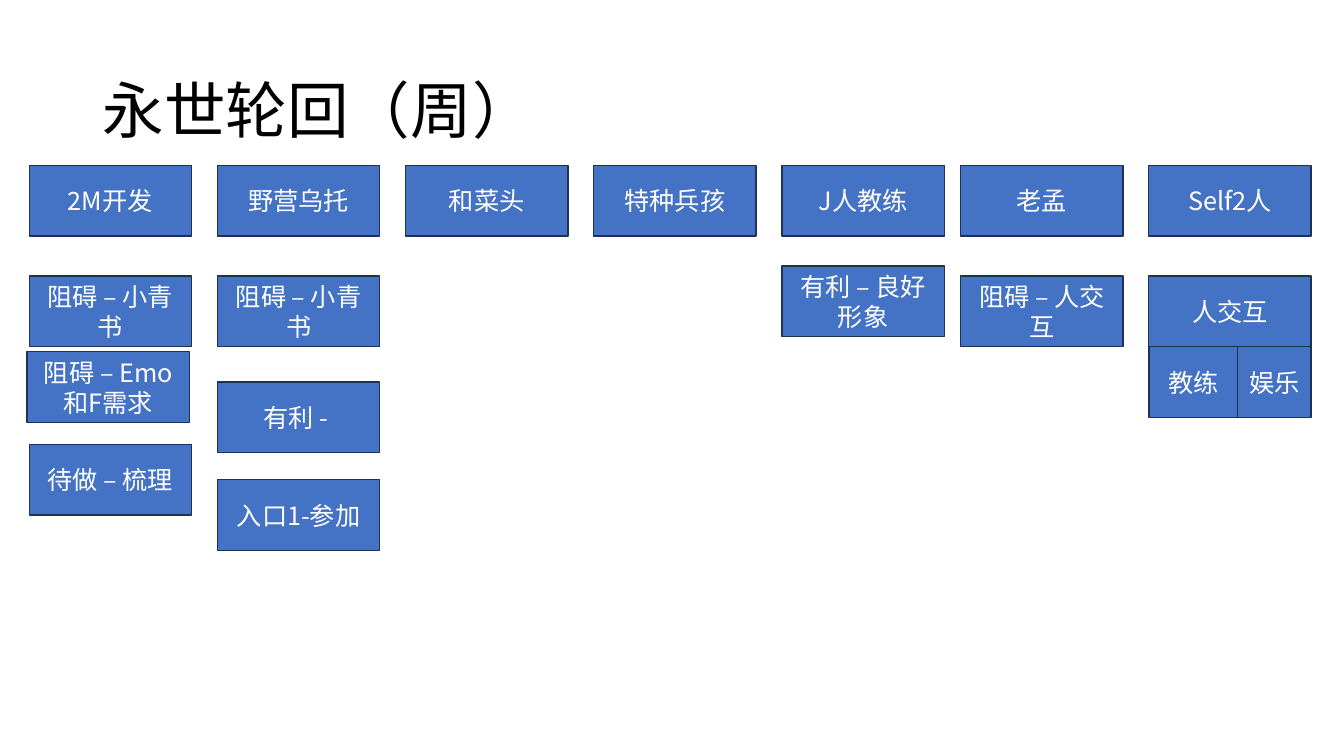
from dataclasses import dataclass

from pptx import Presentation
from pptx.dml.color import RGBColor
from pptx.enum.shapes import MSO_SHAPE as Preset
from pptx.enum.text import MSO_ANCHOR as Anchor, PP_ALIGN as Align
from pptx.oxml.ns import qn
from pptx.util import Pt


@dataclass(frozen=True)
class Theme:
    font: str = "Noto Sans CJK SC"
    title_size: float = 44
    card_size: float = 18
    title_color: RGBColor = RGBColor(0x00, 0x00, 0x00)
    card_text: RGBColor = RGBColor(0xFF, 0xFF, 0xFF)
    card_fill: RGBColor = RGBColor(0x44, 0x72, 0xC4)
    card_line: RGBColor = RGBColor(0x1E, 0x32, 0x56)


THEME = Theme()

# Card grid, in points: five even columns, then two set closer
CARD_WIDTH, CARD_HEIGHT = 116, 50.4
COLUMN_PITCH = 134.4
COLUMNS = [20.9 + COLUMN_PITCH * i for i in range(5)]
COLUMNS += [686.2 + COLUMN_PITCH * i for i in range(2)]
HEADING_TOP, FIRST_TOP = 118.1, 197.3

HEADINGS = ["2M开发", "野营乌托", "和菜头", "特种兵孩", "J人教练", "老孟", "Self2人"]

# Column number, top, text
NOTES = [
    (0, FIRST_TOP, "阻碍 – 小青书"),
    (0, 317.5, "待做 – 梳理"),
    (1, FIRST_TOP, "阻碍 – 小青书"),
    (1, 273, "有利 - "),
    (1, 342.7, "入口1-参加"),
    (4, 190.1, "有利 – 良好形象"),
    (5, FIRST_TOP, "阻碍 – 人交互"),
    (6, FIRST_TOP, "人交互"),
]


def style_paragraph(para, size, color):
    font = para.font
    font.name = THEME.font
    font.size = Pt(size)
    font.color.rgb = color
    # Chinese characters take the East Asian typeface
    defaults = para._p.pPr.find(qn("a:defRPr"))
    east_asian = defaults.makeelement(qn("a:ea"), {"typeface": THEME.font})
    defaults.find(qn("a:latin")).addnext(east_asian)


def add_title(page, text):
    title = page.shapes.title
    title.left, title.top = Pt(66), Pt(28.8)
    title.width, title.height = Pt(828), Pt(104.4)
    frame = title.text_frame
    frame.text = text
    frame.word_wrap = True
    frame.vertical_anchor = Anchor.MIDDLE
    para = frame.paragraphs[0]
    para.alignment = Align.LEFT
    para.line_spacing = 0.9
    style_paragraph(para, THEME.title_size, THEME.title_color)


def add_card(page, text, left, top, width=CARD_WIDTH):
    card = page.shapes.add_shape(
        Preset.RECTANGLE, Pt(left), Pt(top), Pt(width), Pt(CARD_HEIGHT))
    card.shadow.inherit = False
    card.fill.solid()
    card.fill.fore_color.rgb = THEME.card_fill
    card.line.color.rgb = THEME.card_line
    card.line.width = Pt(1)
    frame = card.text_frame
    frame.text = text
    frame.word_wrap = True
    frame.vertical_anchor = Anchor.MIDDLE
    para = frame.paragraphs[0]
    para.alignment = Align.CENTER
    style_paragraph(para, THEME.card_size, THEME.card_text)


def main():
    deck = Presentation()
    deck.slide_width, deck.slide_height = Pt(960), Pt(540)
    page = deck.slides.add_slide(deck.slide_layouts[5])

    add_title(page, "永世轮回（周）")

    # Column headings
    for left, heading in zip(COLUMNS, HEADINGS):
        add_card(page, heading, left, HEADING_TOP)

    # Notes below the headings
    for column, top, text in NOTES:
        add_card(page, text, COLUMNS[column], top)
    add_card(page, "阻碍 – Emo和F需求", 19.4, 251.3)

    # Split card under the last column
    split_top, split_width = FIRST_TOP + CARD_HEIGHT, 63.4
    add_card(page, "教练", COLUMNS[6], split_top, split_width)
    add_card(page, "娱乐", COLUMNS[6] + split_width, split_top,
             CARD_WIDTH - split_width)

    deck.save("out.pptx")


if __name__ == "__main__":
    main()
